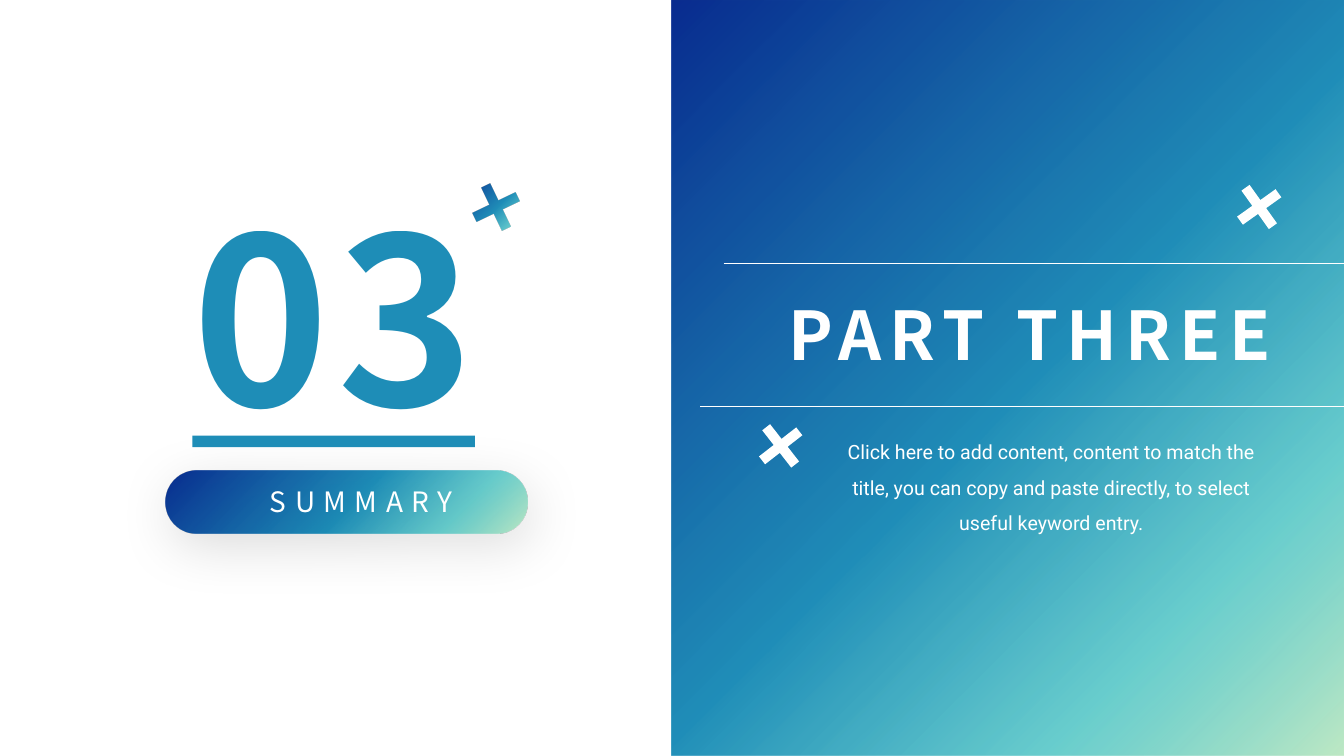
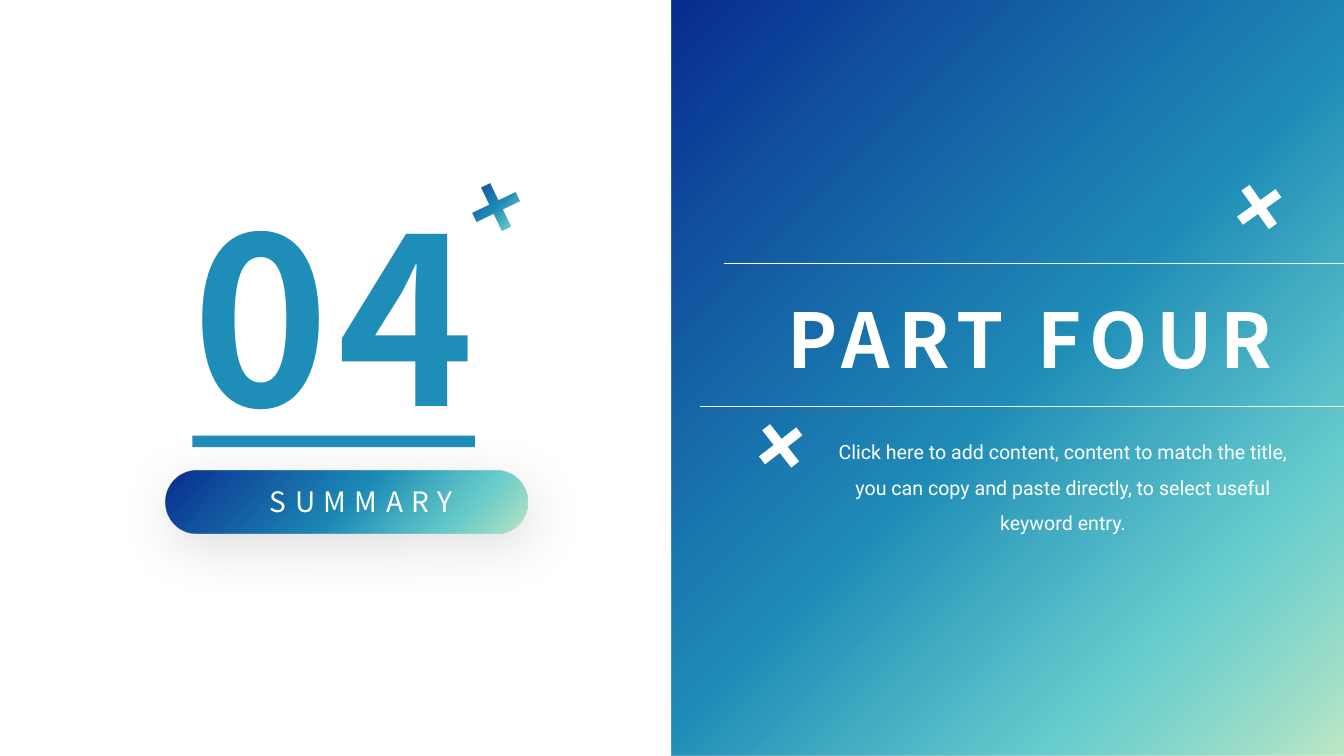
from dataclasses import dataclass

from lxml import etree
from pptx import Presentation
from pptx.dml.color import RGBColor
from pptx.enum.shapes import MSO_CONNECTOR, MSO_SHAPE
from pptx.enum.text import MSO_AUTO_SIZE, PP_ALIGN
from pptx.oxml import parse_xml
from pptx.oxml.ns import nsdecls, qn
from pptx.util import Cm, Pt

# Content: one entry per section slide
BODY = ("Click here to add content, content to match the title, "
        "you can copy and paste directly, to select useful keyword entry.")
BADGE = "SUMMARY"
SECTIONS = [
    dict(number="03", title="PART THREE", title_size=48,
         title_width=12.8, title_height=2.06, body_width=10.87),
    dict(number="04", title="PART FOUR", title_size=54,
         title_width=13.08, title_height=2.31, body_width=11.46),
]


# Theme
@dataclass(frozen=True)
class Theme:
    white: RGBColor = RGBColor(255, 255, 255)
    # position %, colour, opacity %
    gradient: tuple = ((0, "00248B", 96), (52, "0681B0", 89),
                       (79, "45C2C2", 80), (100, "BDE8C2", 96))
    heading_font: str = "Noto Sans CJK SC"
    body_font: str = "Roboto"
    number_size: int = 166
    badge_size: int = 20
    body_size: int = 14
    tracking: int = 6
    rule_width: float = 0.5


THEME = Theme()

# Layout, in centimetres
SLIDE_W, SLIDE_H = 33.87, 19.05
PANEL = (SLIDE_W / 2, 0, SLIDE_W / 2, SLIDE_H)
PILL = (4.17, 11.86, 9.12, 1.58)
BADGE_BOX = (6.5, 12.22, 5.21, 0.86)
NUMBER_BOX = (4.55, 4.39, 7.72, 7.09)
TITLE_CENTRE, TITLE_TOP = 25.96, 7.39
BODY_LEFT, BODY_TOP, BODY_H = 21.06, 10.8, 2.59
RULES = [(17.65, 34.98, 10.24), (18.24, 35.56, 6.63)]  # from x, to x, y
CROSS_SIZE, CROSS_ARM = 1.19, 0.25
WHITE_CROSSES = [(19.08, 10.64, 322.1), (31.14, 4.62, 324.5)]  # x, y, angle
GRADIENT_CROSS = (11.91, 4.62, 334.4)


def cm(lengths):
    return [Cm(length) for length in lengths]


def gradient():
    stops = "".join(
        f'<a:gs pos="{at * 1000}"><a:srgbClr val="{colour}">'
        f'<a:alpha val="{opacity * 1000}"/></a:srgbClr></a:gs>'
        for at, colour, opacity in THEME.gradient)
    return parse_xml(
        f'<a:gradFill {nsdecls("a")} rotWithShape="1"><a:gsLst>{stops}</a:gsLst>'
        '<a:path path="circle"><a:fillToRect r="100000" b="100000"/></a:path>'
        '<a:tileRect l="-100000" t="-100000"/></a:gradFill>')


def add_block(slide, preset, box, colour=None, adjust=None, angle=0):
    """Borderless preset shape; the theme gradient fills it without a colour."""
    block = slide.shapes.add_shape(preset, *cm(box))
    block.shadow.inherit = False
    block.line.fill.background()
    block.rotation = angle
    if adjust is not None:
        block.adjustments[0] = adjust
    if colour is None:
        block._element.spPr.find(qn("a:prstGeom")).addnext(gradient())
    else:
        block.fill.solid()
        block.fill.fore_color.rgb = colour
    return block


def add_cross(slide, left, top, angle, colour=None):
    notch = (CROSS_SIZE - CROSS_ARM) / 2 / CROSS_SIZE
    add_block(slide, MSO_SHAPE.CROSS, (left, top, CROSS_SIZE, CROSS_SIZE),
              colour, notch, angle)


def add_pill(slide):
    pill = add_block(slide, MSO_SHAPE.ROUNDED_RECTANGLE, PILL, adjust=0.5)
    effects = pill._element.spPr.find(qn("a:effectLst"))
    effects.append(parse_xml(
        f'<a:outerShdw {nsdecls("a")} blurRad="{Pt(40)}" dist="{Pt(10)}" '
        f'dir="{70 * 60000}" algn="ctr" rotWithShape="0">'
        '<a:srgbClr val="000000"><a:alpha val="15000"/></a:srgbClr></a:outerShdw>'))


def add_rule(slide, start, end, y):
    rule = slide.shapes.add_connector(MSO_CONNECTOR.STRAIGHT, *cm((start, y, end, y)))
    rule.line.color.rgb = THEME.white
    rule.line.width = Pt(THEME.rule_width)
    etree.SubElement(rule._element.spPr, qn("a:effectLst"))


def add_text(slide, box, text, size, font=THEME.heading_font, colour=THEME.white,
             wrap=False, spacing=None, tracking=THEME.tracking, **font_format):
    frame = slide.shapes.add_textbox(*cm(box)).text_frame
    frame_format = dict(margin_left=0, margin_top=0, margin_right=0, margin_bottom=0,
                        word_wrap=wrap, auto_size=MSO_AUTO_SIZE.SHAPE_TO_FIT_TEXT)
    for name, value in frame_format.items():
        setattr(frame, name, value)
    paragraph = frame.paragraphs[0]
    paragraph.alignment = PP_ALIGN.CENTER
    paragraph.line_spacing = spacing
    run = paragraph.add_run()
    run.text = text
    for name, value in dict(size=Pt(size), name=font, **font_format).items():
        setattr(run.font, name, value)
    properties = run._r.get_or_add_rPr()
    if tracking:
        properties.set("spc", str(tracking * 100))
    if colour is None:
        properties.insert(0, gradient())
    else:
        run.font.color.rgb = colour


def add_section(deck, section):
    slide = deck.slides.add_slide(deck.slide_layouts[6])

    # Left half: badge and section number
    add_pill(slide)
    add_text(slide, BADGE_BOX, BADGE, THEME.badge_size)
    add_text(slide, NUMBER_BOX, section["number"], THEME.number_size,
             colour=None, bold=True, underline=True)

    # Right half: panel, title between rules, body
    add_block(slide, MSO_SHAPE.RECTANGLE, PANEL)
    for rule in RULES:
        add_rule(slide, *rule)
    for cross in WHITE_CROSSES:
        add_cross(slide, *cross, THEME.white)
    width = section["title_width"]
    title_box = (TITLE_CENTRE - width / 2, TITLE_TOP, width, section["title_height"])
    add_text(slide, title_box, section["title"], section["title_size"], bold=True)
    add_text(slide, (BODY_LEFT, BODY_TOP, section["body_width"], BODY_H), BODY,
             THEME.body_size, THEME.body_font, wrap=True, spacing=1.5, tracking=0)

    # Accent beside the number
    add_cross(slide, *GRADIENT_CROSS)


def main():
    deck = Presentation()
    deck.slide_width, deck.slide_height = cm((SLIDE_W, SLIDE_H))
    for section in SECTIONS:
        add_section(deck, section)
    deck.save("out.pptx")


if __name__ == "__main__":
    main()
